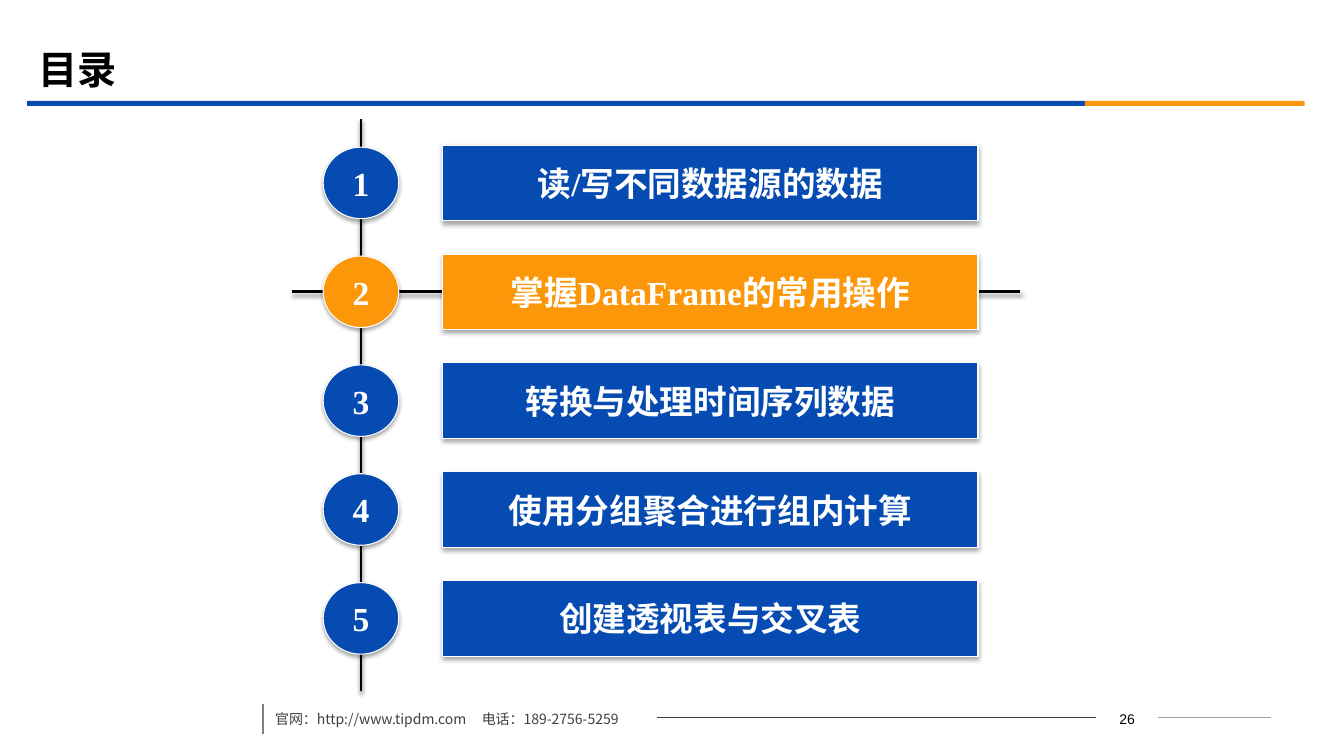
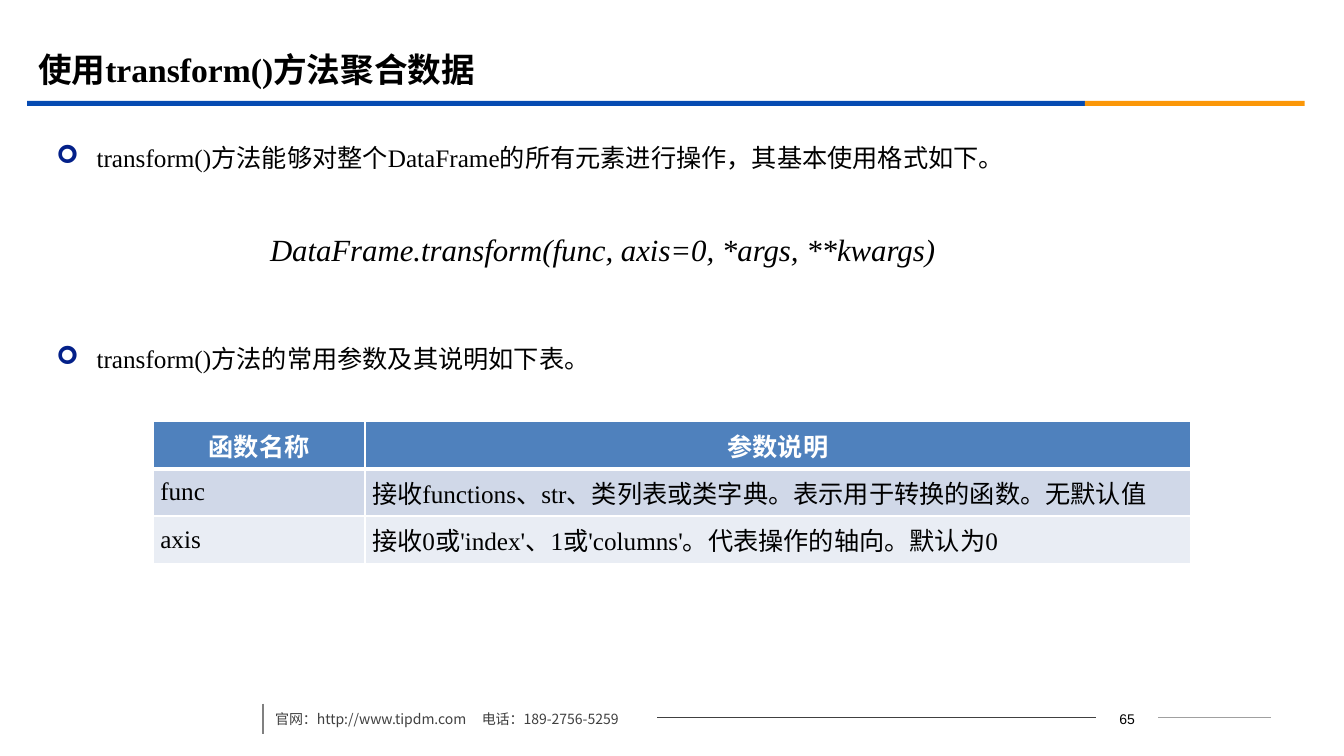
from collections import namedtuple

from lxml import etree
from pptx import Presentation
from pptx.dml.color import RGBColor
from pptx.enum.shapes import MSO_CONNECTOR, MSO_SHAPE
from pptx.enum.text import MSO_ANCHOR, PP_ALIGN
from pptx.oxml.ns import qn
from pptx.util import Inches, Pt

BLUE = RGBColor(0x06, 0x4B, 0xB2)
ORANGE = RGBColor(0xFB, 0x97, 0x08)
BULLET_BLUE = RGBColor(0x03, 0x20, 0x89)
HEADER_BLUE = RGBColor(0x4F, 0x81, 0xBD)
ROW_FILLS = [RGBColor(0xD0, 0xD8, 0xE8), RGBColor(0xE9, 0xED, 0xF4)]
BLACK = RGBColor(0x00, 0x00, 0x00)
WHITE = RGBColor(0xFF, 0xFF, 0xFF)
DARK_GREY = RGBColor(0x40, 0x40, 0x40)
GREY = RGBColor(0x80, 0x80, 0x80)
LIGHT_GREY = RGBColor(0xA0, 0xA0, 0xA0)

SERIF = "Times New Roman"
SANS = "Arial"
CJK = "Noto Sans CJK SC"

Box = namedtuple("Box", "left top width height")

TITLE_BOX = Box(0.28, 0.39, 12, 0.58)
BAND_BOX = Box(0.27, 1, 12.67, 0.05)
FOOTER_BOX = Box(2.61, 6.98, 10, 0.3)
AGENDA_BOX = Box(2.9, 1.18, 7.22, 5.68)
BODY_BOX = Box(0.46, 1.31, 12.15, 4.28)


def inches(box):
    return [Inches(length) for length in box]


def add_node(parent, tag, **attributes):
    return etree.SubElement(parent, qn(tag), attributes)


def style_text(frame, size, color, font=SERIF, bold=False, italic=False, align=PP_ALIGN.LEFT):
    frame.vertical_anchor = MSO_ANCHOR.MIDDLE
    for para in frame.paragraphs:
        para.alignment = align
        for span in para.runs:
            span.font.name, span.font.size = font, Pt(size)
            span.font.bold, span.font.italic = bold, italic
            span.font.color.rgb = color
            add_node(span.font._element, "a:ea", typeface=CJK)


def add_text(page, box, text, size, color=BLACK, **style):
    frame = page.shapes.add_textbox(*inches(box)).text_frame
    frame.word_wrap = True
    frame.text = text
    style_text(frame, size, color, **style)
    return frame.paragraphs[0]


def add_effects(shape, opacity=0, distance=0):
    """Give the shape a soft downward shadow, or none when opacity is 0."""
    effects = add_node(shape._element.spPr, "a:effectLst")
    if opacity:
        shadow = add_node(effects, "a:outerShdw", blurRad=str(Pt(3.1)), dist=str(Pt(distance)),
                          dir="5400000", rotWithShape="0")
        color = add_node(shadow, "a:srgbClr", val=str(BLACK))
        add_node(color, "a:alpha", val=str(opacity * 1000))


def add_line(page, start, end, color, weight, **shadow):
    line = page.shapes.add_connector(
        MSO_CONNECTOR.STRAIGHT, *[Inches(length) for length in (*start, *end)])
    line.line.color.rgb = color
    line.line.width = Pt(weight)
    add_effects(line, **shadow)


def add_band(page, box, color):
    band = page.shapes.add_shape(MSO_SHAPE.RECTANGLE, *inches(box))
    band.shadow.inherit = False
    band.fill.solid()
    band.fill.fore_color.rgb = color
    band.line.fill.background()


def add_button(page, kind, box, text, color):
    button = page.shapes.add_shape(kind, *inches(box))
    button.fill.solid()
    button.fill.fore_color.rgb = color
    button.line.color.rgb = WHITE
    button.line.width = Pt(0.75)
    add_effects(button, opacity=35, distance=1.8)
    button.text_frame.word_wrap = False
    button.text_frame.text = text
    style_text(button.text_frame, 24, WHITE, bold=True, align=PP_ALIGN.CENTER)


def add_header(page, title, size):
    add_text(page, TITLE_BOX, title, size, bold=True)
    left, top, width, height = BAND_BOX
    blue_width = 10.49
    add_band(page, Box(left, top, blue_width, height), BLUE)
    add_band(page, Box(left + blue_width, top, width - blue_width, height), ORANGE)


def add_footer(page, box, number):
    middle = box.top + box.height / 2 - 0.01
    right = box.left + box.width
    number_left, number_right = right - 1.74, right - 1.12
    add_line(page, (box.left, box.top), (box.left, box.top + box.height), GREY, 1.25)
    add_line(page, (box.left + 3.91, middle), (number_left, middle), DARK_GREY, 0.75)
    add_line(page, (number_right, middle), (right, middle), LIGHT_GREY, 0.75)
    add_text(page, Box(number_left, box.top, number_right - number_left, box.height),
             str(number), 10, font=SANS, align=PP_ALIGN.CENTER)
    contact = add_text(page, Box(box.left + 0.02, box.top, 3.85, box.height),
                       "官网：http://www.tipdm.com\t电话：189-2756-5259", 10, DARK_GREY, font=CJK)
    tabs = add_node(contact._p.get_or_add_pPr(), "a:tabLst")
    add_node(tabs, "a:tab", pos=str(Inches(2.05)), algn="l")


def add_page(deck, title, size, number):
    page = deck.slides.add_slide(deck.slide_layouts[6])
    add_header(page, title, size)
    add_footer(page, FOOTER_BOX, number)
    return page


def add_agenda(page, box, topics, current):
    """Stack numbered topics on a vertical axis and cross the current one."""
    axis = box.left + 0.68
    first_top, pitch = box.top + 0.26, 1.08
    bar_height, disc_width, disc_height = 0.75, 0.75, 0.71
    crossing = first_top + (current - 1) * pitch + bar_height / 2
    shadow = {"opacity": 38, "distance": 1.6}
    add_line(page, (axis, box.top), (axis, box.top + box.height), BLACK, 2, **shadow)
    add_line(page, (box.left, crossing), (box.left + box.width, crossing), BLACK, 2, **shadow)
    for number, topic in enumerate(topics, 1):
        top = first_top + (number - 1) * pitch
        color = ORANGE if number == current else BLUE
        disc = Box(axis - disc_width / 2, top + (bar_height - disc_height) / 2,
                   disc_width, disc_height)
        bar = Box(box.left + 1.49, top, 5.31, bar_height)
        add_button(page, MSO_SHAPE.OVAL, disc, str(number), color)
        add_button(page, MSO_SHAPE.ACTION_BUTTON_CUSTOM, bar, topic, color)


def add_bullet(page, box, text):
    para = add_text(page, box, text, 18)
    properties = para._p.get_or_add_pPr()
    properties.set("marL", str(Inches(0.4)))
    properties.set("indent", str(-Inches(0.4)))
    add_node(add_node(properties, "a:buClr"), "a:srgbClr", val=str(BULLET_BLUE))
    add_node(properties, "a:buFont", typeface="Wingdings")
    add_node(properties, "a:buChar", char="➢")


def set_borders(cell, bottom):
    """Draw white edges, 1 point wide except at the bottom."""
    properties = cell._tc.get_or_add_tcPr()
    for place, (side, width) in enumerate([("L", 1), ("R", 1), ("T", 1), ("B", bottom)]):
        edge = etree.Element(qn("a:ln" + side), w=str(Pt(width)))
        add_node(add_node(edge, "a:solidFill"), "a:srgbClr", val=str(WHITE))
        properties.insert(place, edge)


def add_parameter_table(page, box, rows):
    table = page.shapes.add_table(len(rows), len(rows[0]), *inches(box)).table
    name_width = 2.1
    for column, width in zip(table.columns, (name_width, box.width - name_width)):
        column.width = Inches(width)
    for index, texts in enumerate(rows):
        is_header = index == 0
        for column, text in enumerate(texts):
            cell = table.cell(index, column)
            cell.text = text
            cell.vertical_anchor = MSO_ANCHOR.MIDDLE
            cell.fill.solid()
            cell.fill.fore_color.rgb = HEADER_BLUE if is_header else ROW_FILLS[(index - 1) % 2]
            if not is_header:
                cell.margin_left = cell.margin_right = Inches(0.07)
                cell.margin_top = cell.margin_bottom = 0
            style_text(cell.text_frame, 18, WHITE if is_header else BLACK, bold=is_header,
                       align=PP_ALIGN.CENTER if is_header else PP_ALIGN.JUSTIFY)
            set_borders(cell, bottom=3 if is_header else 1)


def add_method_body(page, box, usage, formula, caption, rows):
    """Place usage, call format, table caption and table from top to bottom."""
    left, top, width, height = box
    table_height = 0.47 * len(rows)
    add_bullet(page, Box(left, top, width, 0.5), usage)
    add_text(page, Box(left + 2.12, top + 0.93, 8.5, 0.47), formula, 22, italic=True)
    add_bullet(page, Box(left, top + 2, width, 0.5), caption)
    add_parameter_table(
        page, Box(left + 1.06, top + height - table_height, 10.29, table_height), rows)


def main():
    deck = Presentation()
    deck.slide_width, deck.slide_height = Inches(13.33), Inches(7.5)

    contents = add_page(deck, "目录", 28, 26)
    add_agenda(contents, AGENDA_BOX, [
        "读/写不同数据源的数据",
        "掌握DataFrame的常用操作",
        "转换与处理时间序列数据",
        "使用分组聚合进行组内计算",
        "创建透视表与交叉表",
    ], current=2)

    method = add_page(deck, "使用transform()方法聚合数据", 24, 65)
    add_method_body(
        method, BODY_BOX,
        "transform()方法能够对整个DataFrame的所有元素进行操作，其基本使用格式如下。",
        "DataFrame.transform(func, axis=0, *args, **kwargs)",
        "transform()方法的常用参数及其说明如下表。",
        [
            ("函数名称", "参数说明"),
            ("func", "接收functions、str、类列表或类字典。表示用于转换的函数。无默认值"),
            ("axis", "接收0或'index'、1或'columns'。代表操作的轴向。默认为0"),
        ])

    deck.save("out.pptx")


if __name__ == "__main__":
    main()
